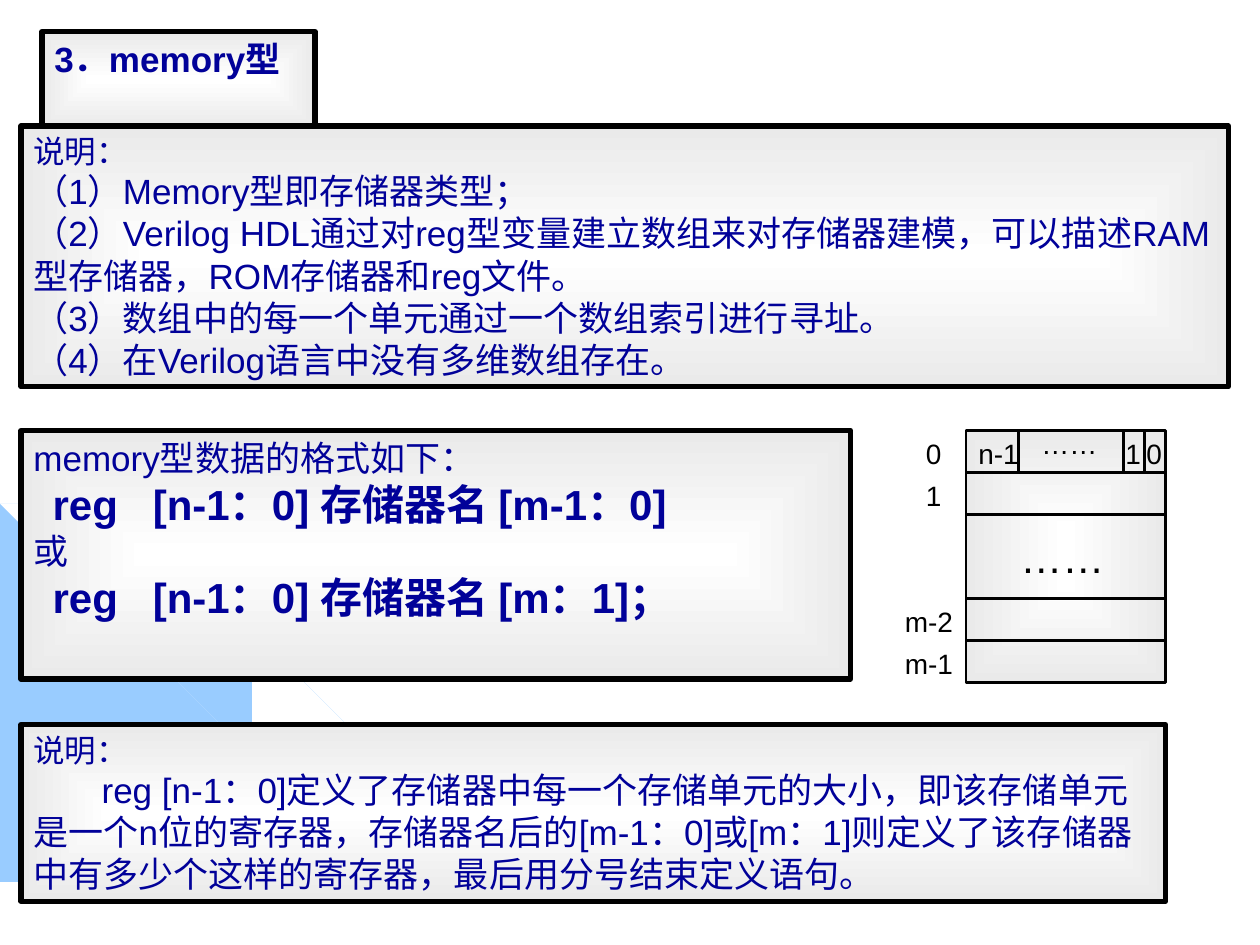
from lxml import etree
from pptx import Presentation
from pptx import util as u
from pptx.dml.color import RGBColor
from pptx.enum import shapes, text
from pptx.oxml import ns

NAVY = RGBColor(0x01, 0x01, 0x99)
BLACK = RGBColor(0, 0, 0)
WHITE = RGBColor(0xFF, 0xFF, 0xFF)
GREY = RGBColor(0xEA, 0xEA, 0xEA)
SKY = RGBColor(0x99, 0xCC, 0xFF)

prs = Presentation()
prs.slide_width, prs.slide_height = u.Pt(720), u.Pt(540)
s = prs.slides.add_slide(prs.slide_layouts[6])


def add_panel(x, y, w, h, line_width):
    sp = s.shapes.add_shape(shapes.MSO_SHAPE.RECTANGLE, u.Pt(x), u.Pt(y), u.Pt(w), u.Pt(h))
    sp.shadow.inherit = False
    sp.fill.gradient()
    for stop, color in zip(sp.fill.gradient_stops, (WHITE, GREY)):
        stop.color.rgb = color
    grad = sp._element.spPr.find(ns.qn("a:gradFill"))
    grad.remove(grad.find(ns.qn("a:lin")))
    path = etree.SubElement(grad, ns.qn("a:path"), {"path": "rect"})
    etree.SubElement(path, ns.qn("a:fillToRect"), dict.fromkeys("ltrb", "50000"))
    sp.line.color.rgb = BLACK
    sp.line.width = u.Pt(line_width)
    return sp


def add_text(sp, paragraphs, color):
    tf = sp.text_frame
    tf.word_wrap = True
    tf.vertical_anchor = text.MSO_ANCHOR.TOP
    for i, (words, size, bold, indent) in enumerate(paragraphs):
        p = tf.add_paragraph() if i else tf.paragraphs[0]
        p.alignment = text.PP_ALIGN.LEFT
        if indent:
            p._p.get_or_add_pPr().set("indent", str(u.Pt(indent)))
        r = p.add_run()
        r.text = words
        r.font.name = "Arial"
        r.font.size = u.Pt(size)
        r.font.bold = bold
        r.font.color.rgb = color


# Outlines are in units of 72 points
swooshes = [
    [(0.57, 4.47), (0.28, 4.41), (0, 4.35), (0, 4.38), (0.28, 4.43), (0.56, 4.49),
     (0.97, 4.61), (1.35, 4.78), (1.73, 4.99), (2.08, 5.23), (2.41, 5.49), (2.71, 5.79),
     (2.98, 6.12), (3.23, 6.49), (3.37, 6.73), (3.5, 6.98), (3.6, 7.23), (3.7, 7.49),
     (3.72, 7.49), (3.62, 7.23), (3.52, 6.98), (3.39, 6.73), (3.25, 6.48), (3, 6.11),
     (2.72, 5.78), (2.42, 5.48), (2.09, 5.21), (1.74, 4.97), (1.36, 4.77), (0.98, 4.59)],
    [(3.22, 7.49), (0, 7.49), (0, 4.27)],
    [(2.85, 7.14), (2.94, 7.32), (3.01, 7.49), (3.03, 7.49), (2.96, 7.3), (2.86, 7.12),
     (2.66, 6.76), (2.42, 6.4), (2.15, 6.06), (1.84, 5.76), (1.52, 5.49), (1.17, 5.26),
     (0.79, 5.05), (0.41, 4.88), (0, 4.75), (0, 4.77), (0.39, 4.9), (0.77, 5.07),
     (1.15, 5.28), (1.5, 5.51), (1.83, 5.78), (2.13, 6.08), (2.4, 6.42), (2.65, 6.77)],
    [(0, 4.42), (0, 4.44), (0.36, 4.57), (0.74, 4.75), (1.09, 4.94), (1.42, 5.18),
     (1.73, 5.44), (2.02, 5.75), (2.27, 6.05), (2.52, 6.41), (2.67, 6.67), (2.8, 6.94),
     (2.92, 7.22), (3.01, 7.49), (3.03, 7.49), (2.94, 7.2), (2.82, 6.93), (2.69, 6.65),
     (2.54, 6.39), (2.29, 6.03), (2.04, 5.73), (1.75, 5.43), (1.44, 5.16), (1.11, 4.93),
     (0.76, 4.73), (0.39, 4.55)],
]
for start, *rest in swooshes:
    fb = s.shapes.build_freeform(*start, scale=u.Pt(72))
    fb.add_line_segments(rest)
    sp = fb.convert_to_shape()
    sp.shadow.inherit = False
    sp.fill.solid()
    sp.fill.fore_color.rgb = SKY
    sp.line.fill.background()

panels = [
    ((24, 18, 156, 55), [("3．memory型", 20, True, 0)]),
    ((12, 72, 690, 149), [
        ("说明：", 18, False, 0),
        ("（1）Memory型即存储器类型；", 20, False, 0),
        ("（2）Verilog HDL通过对reg型变量建立数组来对存储器建模，可以描述RAM型存储器，ROM存储器和reg文件。", 20, False, 0),
        ("（3）数组中的每一个单元通过一个数组索引进行寻址。", 20, False, 0),
        ("（4）在Verilog语言中没有多维数组存在。", 20, False, 0),
    ]),
    ((12, 246, 474, 142), [
        ("memory型数据的格式如下：", 20, False, 0),
        ("reg   [n-1：0] 存储器名 [m-1：0]", 24, True, 11),
        ("或", 20, False, 0),
        ("reg   [n-1：0] 存储器名 [m：1]；", 24, True, 11),
    ]),
    ((12, 414, 654, 101), [
        ("说明：", 18, False, 0),
        ("reg [n-1：0]定义了存储器中每一个存储单元的大小，即该存储单元是一个n位的寄存器，存储器名后的[m-1：0]或[m：1]则定义了该存储器中有多少个这样的寄存器，最后用分号结束定义语句。", 20, False, 39),
    ]),
]
for box, paragraphs in panels:
    add_text(add_panel(*box, 3), paragraphs, NAVY)

left, top, width, row = 552, 246, 114, 24
right = left + width
add_panel(left, top, width, 6 * row, 1.5)
row_lines = [(left, top + n * row, right, top + n * row) for n in (1, 2, 4, 5)]
bit_lines = [(x, top, x, top + row) for x in (582, 642, 654)]
for ends in row_lines + bit_lines:
    c = s.shapes.add_connector(shapes.MSO_CONNECTOR.STRAIGHT, *map(u.Pt, ends))
    c.line.color.rgb = BLACK
    c.line.width = u.Pt(1.5)
    etree.SubElement(c._element.spPr, ns.qn("a:effectLst"))

labels = [
    ("0", 522, top, 16), ("1", 522, top + row, 16),
    ("m-2", 510, top + 4 * row, 16), ("m-1", 510, top + 5 * row, 16),
    ("n-1", left, top, 16), ("……", 588, 240, 16), ("1", 636, top, 16), ("0", 648, top, 16),
    ("……", 576, 300, 24),
]
for words, x, y, size in labels:
    w, h = (90, 36) if size == 24 else (60, 27)
    sp = s.shapes.add_textbox(u.Pt(x), u.Pt(y), u.Pt(w), u.Pt(h))
    add_text(sp, [(words, size, False, 0)], BLACK)

prs.save("out.pptx")
